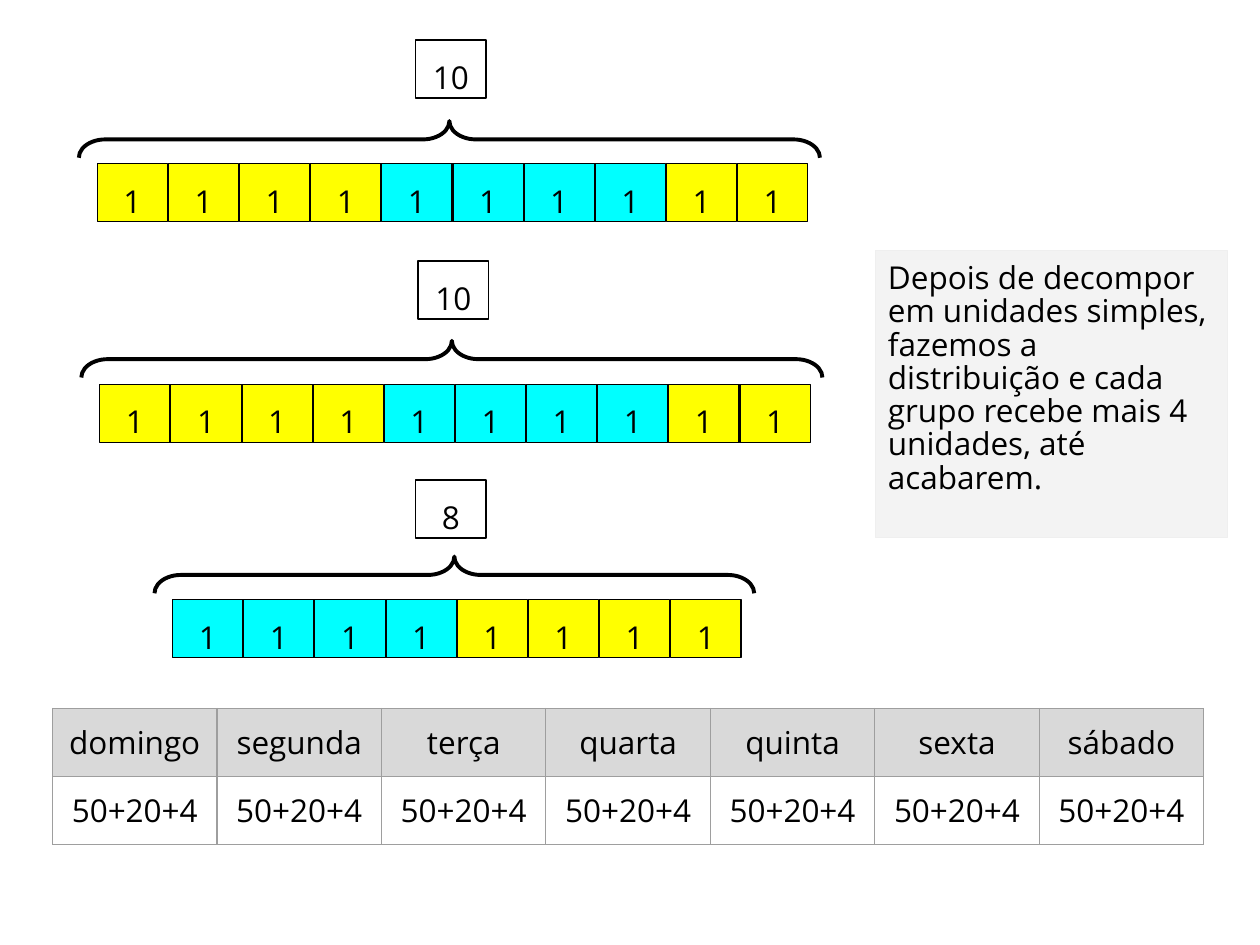
"""Builds a slide that splits 28 units over the days of a week."""
from lxml import etree
from pptx import Presentation
from pptx.dml.color import RGBColor
from pptx.enum.shapes import MSO_SHAPE
from pptx.enum.text import MSO_ANCHOR, PP_ALIGN
from pptx.oxml.ns import qn
from pptx.util import Cm, Pt

RECT, BRACE = MSO_SHAPE.RECTANGLE, MSO_SHAPE.RIGHT_BRACE
TOP = MSO_ANCHOR.TOP
LEFT, CENTER = PP_ALIGN.LEFT, PP_ALIGN.CENTER
BLACK = RGBColor(0x00, 0x00, 0x00)
YELLOW = RGBColor(0xFF, 0xFF, 0x00)
CYAN = RGBColor(0x00, 0xFF, 0xFF)
NOTE_FILL = RGBColor(0xF3, 0xF3, 0xF3)
NOTE_LINE = RGBColor(0xEF, 0xEF, 0xEF)
HEADER = RGBColor(0xD9, 0xD9, 0xD9)
GRID = RGBColor(0x9E, 0x9E, 0x9E)
INSET = Cm(0.25)
BOX_W, BOX_H, PITCH = 1.42, 1.17, 1.434

prs = Presentation()
prs.slide_width, prs.slide_height = Cm(25.4), Cm(19.05)
s = prs.slides.add_slide(prs.slide_layouts[6])


def write(tf, text, align=CENTER, spacing=1.0):
    p = tf.paragraphs[0]
    p.alignment, p.line_spacing = align, spacing
    r = p.add_run()
    r.text = text
    r.font.name, r.font.size, r.font.color.rgb = "Open Sans", Pt(18), BLACK


def add_shape(kind, x, y, w, h, text="", fill=None, line=BLACK, weight=0.75, **fmt):
    sp = s.shapes.add_shape(kind, Cm(x), Cm(y), Cm(w), Cm(h))
    sp.shadow.inherit = False
    if fill is None:
        sp.fill.background()
    else:
        sp.fill.solid()
        sp.fill.fore_color.rgb = fill
    sp.line.color.rgb, sp.line.width = line, Pt(weight)
    if text:
        tf = sp.text_frame
        tf.word_wrap, tf.vertical_anchor = True, TOP
        tf.margin_left = tf.margin_right = tf.margin_top = tf.margin_bottom = INSET
        write(tf, text, **fmt)
    return sp


TEN = [YELLOW] * 4 + [CYAN] * 4 + [YELLOW] * 2
EIGHT = [CYAN] * 4 + [YELLOW] * 4
GROUPS = [
    (TEN, 1.96, 3.30, 8.38, 0.81, 9.06, 2.44, 14.94),
    (TEN, 2.01, 7.75, 8.43, 5.26, 9.11, 6.87, 14.94),
    (EIGHT, 3.48, 12.09, 8.38, 9.68, 9.16, 11.22, 12.09),
]
for units, x, y, total_x, total_y, brace_mid, brace_y, brace_w in GROUPS:
    add_shape(RECT, total_x, total_y, BOX_W, BOX_H, str(len(units)), spacing=1.15)
    for i, color in enumerate(units):
        add_shape(RECT, x + i * PITCH, y, BOX_W, BOX_H, "1", fill=color, spacing=1.15)
    depth = 0.74
    sp = add_shape(BRACE, brace_mid - depth / 2, brace_y + depth / 2 - brace_w / 2,
                   depth, brace_w, weight=2.25)
    sp.rotation = 270
    sp.adjustments[0], sp.adjustments[1] = 0.72, 0.5

add_shape(RECT, 17.65, 5.05, 7.09, 5.79,
          "Depois de decompor em unidades simples, fazemos a distribuição "
          "e cada grupo recebe mais 4 unidades, até acabarem.",
          fill=NOTE_FILL, line=NOTE_LINE, align=LEFT, spacing=0.88)

DAYS = ["domingo", "segunda", "terça", "quarta", "quinta", "sexta", "sábado"]
ROWS = [DAYS, ["50+20+4"] * len(DAYS)]
table = s.shapes.add_table(len(ROWS), len(DAYS), Cm(1.06), Cm(14.28), Cm(23.2), Cm(2.74)).table
for col in table.columns:
    col.width = Cm(3.315)
for i, row in enumerate(ROWS):
    for j, text in enumerate(row):
        cell = table.cell(i, j)
        cell.margin_left = cell.margin_right = cell.margin_top = cell.margin_bottom = INSET
        write(cell.text_frame, text)
        tc_pr = cell._tc.get_or_add_tcPr()
        for side in ("a:lnL", "a:lnR", "a:lnT", "a:lnB"):
            ln = etree.SubElement(tc_pr, qn(side), w=str(Pt(0.75)))
            solid = etree.SubElement(ln, qn("a:solidFill"))
            etree.SubElement(solid, qn("a:srgbClr"), val=str(GRID))
        if i == 0:
            cell.fill.solid()
            cell.fill.fore_color.rgb = HEADER
        else:
            cell.fill.background()

prs.save("out.pptx")
